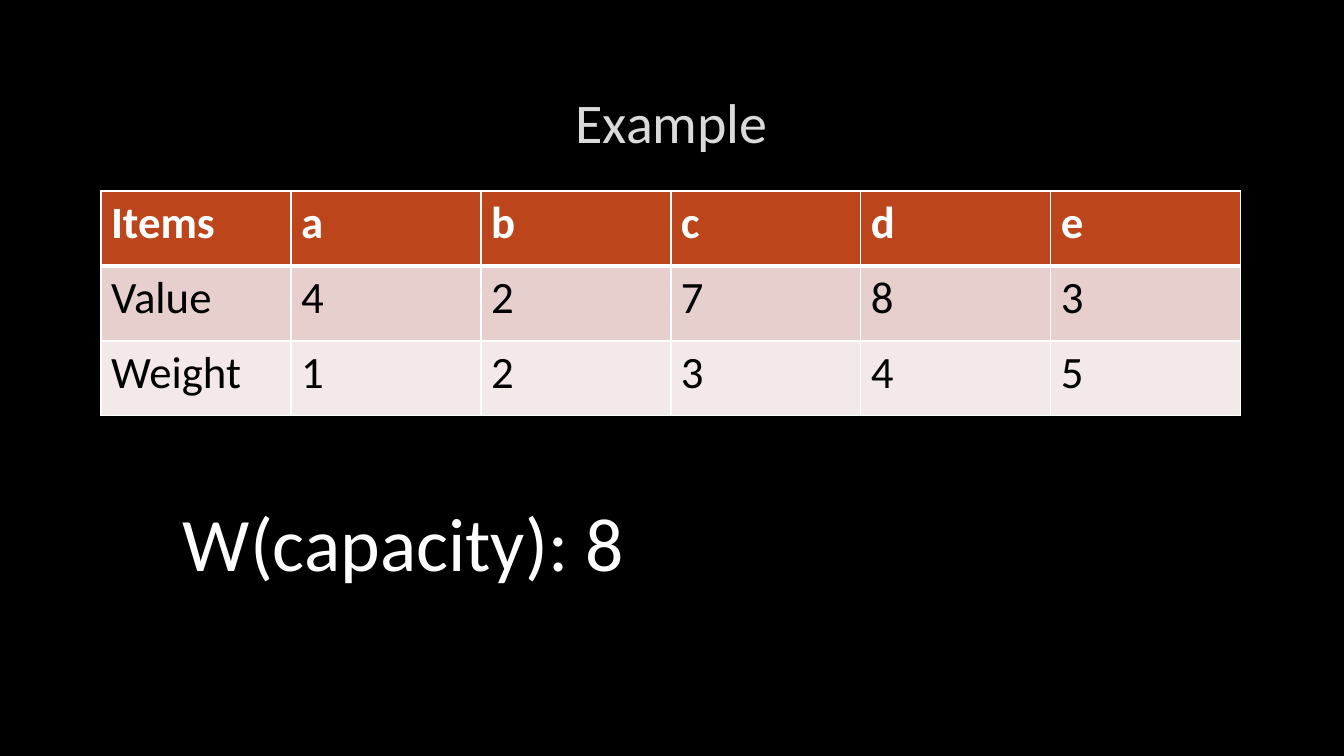
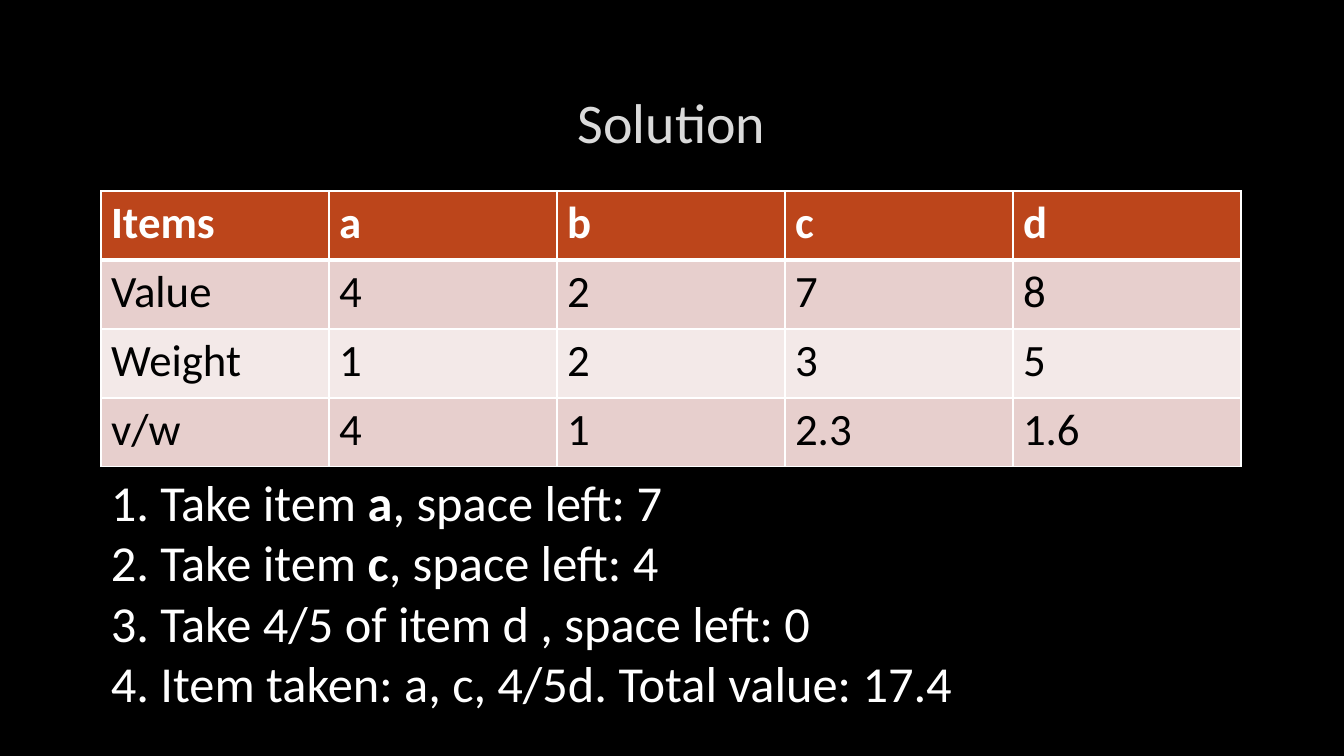
from dataclasses import dataclass

import lxml.etree
import pptx
import pptx.dml.color
import pptx.enum.text
import pptx.oxml.ns
import pptx.presentation
import pptx.slide
import pptx.table
import pptx.text.text
import pptx.util

SLIDE_WIDTH = 1344
SLIDE_HEIGHT = 756
EMU_PER_PX = 12192000 / SLIDE_WIDTH
FONT = "Calibri"
COLORS = {
    "background": "000000",
    "title": "DADADA",
    "light": "FFFFFF",
    "dark": "000000",
    "header": "BC451B",
    "band_odd": "E7CFCD",
    "band_even": "F3E9E8",
}


@dataclass(frozen=True)
class Box:
    left: int
    top: int
    width: int
    height: int


@dataclass(frozen=True)
class TextStyle:
    size: int
    color: str
    bold: bool = False
    centered: bool = False


@dataclass(frozen=True)
class Segment:
    text: str
    bold: bool = False


@dataclass(frozen=True)
class Note:
    box: Box
    size: int
    lines: list[list[Segment]]


@dataclass(frozen=True)
class ExampleSlide:
    title: str
    row_height: int
    rows: list[list[str]]
    note: Note


TITLE_BOX = Box(101, 68, 1141, 107)
TITLE_STYLE = TextStyle(40, "title", centered=True)
HEADER_STYLE = TextStyle(32, "light", bold=True)
BODY_STYLE = TextStyle(32, "dark")
TABLE_LEFT = 101
TABLE_TOP = 191
TABLE_WIDTH = 1140
THIN_BORDER = 1
HEADER_BORDER = 3

SLIDES = [
    ExampleSlide(
        "Example",
        75,
        [
            ["Items", "a", "b", "c", "d", "e"],
            ["Value", "4", "2", "7", "8", "3"],
            ["Weight", "1", "2", "3", "4", "5"],
        ],
        Note(Box(173, 491, 614, 102), 54, [[Segment("W(capacity): 8")]]),
    ),
    ExampleSlide(
        "Solution",
        69,
        [
            ["Items", "a", "b", "c", "d"],
            ["Value", "4", "2", "7", "8"],
            ["Weight", "1", "2", "3", "5"],
            ["v/w", "4", "1", "2.3", "1.6"],
        ],
        Note(
            Box(101, 466, 1015, 254),
            36,
            [
                [Segment("1. Take item "), Segment("a", True), Segment(", space left: 7")],
                [Segment("2. Take item "), Segment("c", True), Segment(", space left: 4")],
                [Segment("3. Take 4/5 of item d , space left: 0")],
                [Segment("4. Item taken: a, c, 4/5d. Total value: 17.4")],
            ],
        ),
    ),
]


def px(length: int) -> pptx.util.Emu:
    return pptx.util.Emu(round(length * EMU_PER_PX))


def rgb(name: str) -> pptx.dml.color.RGBColor:
    return pptx.dml.color.RGBColor.from_string(COLORS[name])


def write_lines(
    frame: pptx.text.text.TextFrame, lines: list[list[Segment]], style: TextStyle
) -> None:
    for index, segments in enumerate(lines):
        paragraph = frame.add_paragraph() if index else frame.paragraphs[0]
        if style.centered:
            paragraph.alignment = pptx.enum.text.PP_ALIGN.CENTER
        paragraph.font.name = FONT
        paragraph.font.size = pptx.util.Pt(style.size)
        paragraph.font.bold = style.bold
        paragraph.font.color.rgb = rgb(style.color)
        for segment in segments:
            run = paragraph.add_run()
            run.text = segment.text
            if segment.bold:
                run.font.bold = True


def add_text(
    slide: pptx.slide.Slide, box: Box, lines: list[list[Segment]], style: TextStyle
) -> pptx.text.text.TextFrame:
    shape = slide.shapes.add_textbox(px(box.left), px(box.top), px(box.width), px(box.height))
    shape.text_frame.word_wrap = True
    write_lines(shape.text_frame, lines, style)
    return shape.text_frame


def add_borders(cell: pptx.table._Cell, top: int, bottom: int) -> None:
    properties = cell._tc.get_or_add_tcPr()
    widths = {"L": THIN_BORDER, "R": THIN_BORDER, "T": top, "B": bottom}
    for side, width in widths.items():
        line = lxml.etree.SubElement(
            properties, pptx.oxml.ns.qn(f"a:ln{side}"), w=str(pptx.util.Pt(width))
        )
        fill = lxml.etree.SubElement(line, pptx.oxml.ns.qn("a:solidFill"))
        lxml.etree.SubElement(fill, pptx.oxml.ns.qn("a:srgbClr"), val=COLORS["light"])


def add_items_table(slide: pptx.slide.Slide, rows: list[list[str]], row_height: int) -> None:
    column_count = len(rows[0])
    table = slide.shapes.add_table(
        len(rows),
        column_count,
        px(TABLE_LEFT),
        px(TABLE_TOP),
        px(TABLE_WIDTH),
        px(row_height * len(rows)),
    ).table
    table.horz_banding = False
    for column in table.columns:
        column.width = px(TABLE_WIDTH // column_count)
    for row_index, texts in enumerate(rows):
        table.rows[row_index].height = px(row_height)
        is_header = row_index == 0
        band = "band_odd" if row_index % 2 else "band_even"
        for column_index, text in enumerate(texts):
            cell = table.cell(row_index, column_index)
            add_borders(
                cell,
                top=HEADER_BORDER if row_index == 1 else THIN_BORDER,
                bottom=HEADER_BORDER if is_header else THIN_BORDER,
            )
            cell.fill.solid()
            cell.fill.fore_color.rgb = rgb("header" if is_header else band)
            style = HEADER_STYLE if is_header else BODY_STYLE
            write_lines(cell.text_frame, [[Segment(text)]], style)


def add_example_slide(
    presentation: pptx.presentation.Presentation, content: ExampleSlide
) -> None:
    slide = presentation.slides.add_slide(presentation.slide_layouts[6])
    slide.background.fill.solid()
    slide.background.fill.fore_color.rgb = rgb("background")
    title = add_text(slide, TITLE_BOX, [[Segment(content.title)]], TITLE_STYLE)
    title.vertical_anchor = pptx.enum.text.MSO_ANCHOR.MIDDLE
    add_items_table(slide, content.rows, content.row_height)
    note = content.note
    frame = add_text(slide, note.box, note.lines, TextStyle(note.size, "light"))
    frame.auto_size = pptx.enum.text.MSO_AUTO_SIZE.SHAPE_TO_FIT_TEXT


def main() -> None:
    presentation = pptx.Presentation()
    presentation.slide_width = px(SLIDE_WIDTH)
    presentation.slide_height = px(SLIDE_HEIGHT)
    for content in SLIDES:
        add_example_slide(presentation, content)
    presentation.save("out.pptx")


if __name__ == "__main__":
    main()
